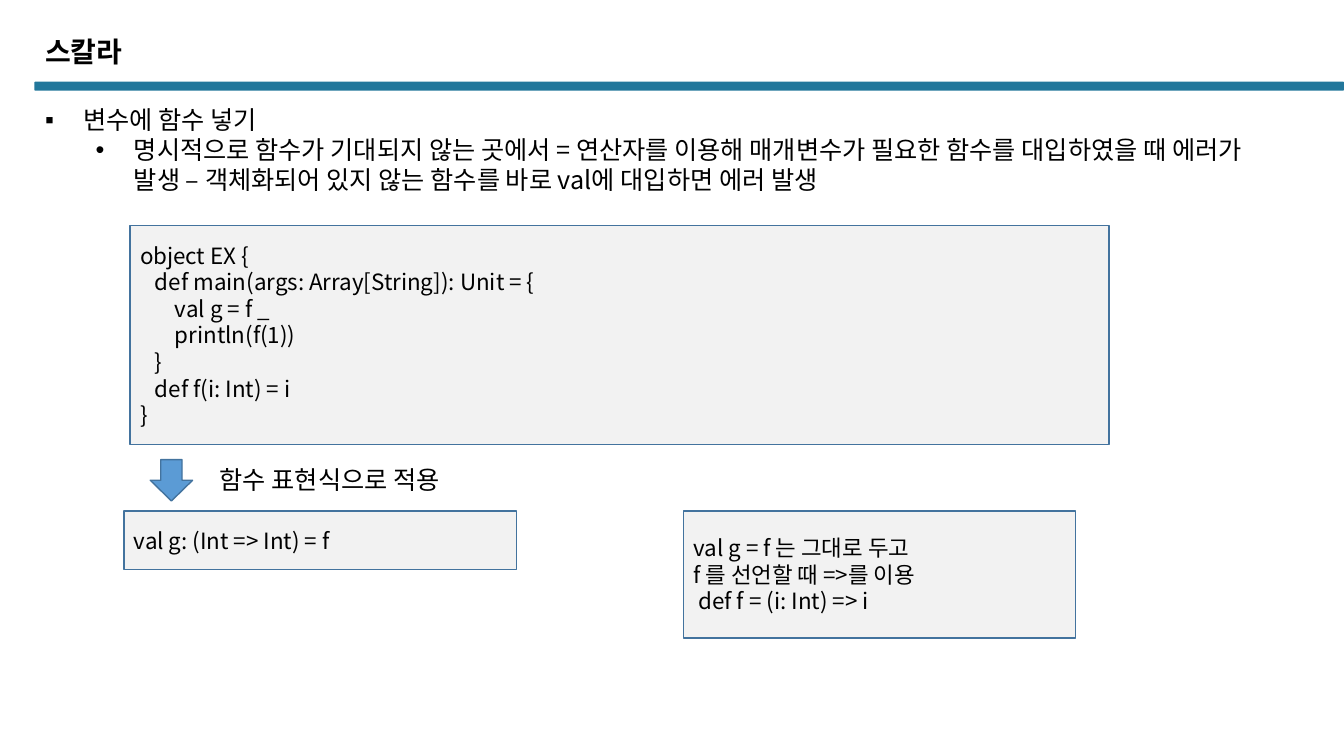
from lxml import etree
from pptx import Presentation
from pptx.dml.color import RGBColor
from pptx.enum.shapes import MSO_SHAPE
from pptx.enum.text import MSO_ANCHOR, PP_ALIGN
from pptx.oxml.ns import qn
from pptx.util import Inches, Pt

RECTANGLE = MSO_SHAPE.RECTANGLE
ROUNDED = MSO_SHAPE.ROUNDED_RECTANGLE
DOWN_ARROW = MSO_SHAPE.DOWN_ARROW
TOP, MIDDLE = MSO_ANCHOR.TOP, MSO_ANCHOR.MIDDLE
LEFT = PP_ALIGN.LEFT

BLACK = RGBColor(0x00, 0x00, 0x00)
TEAL = RGBColor(0x22, 0x77, 0x9B)
BLUE = RGBColor(0x5B, 0x9B, 0xD5)
OUTLINE = RGBColor(0x43, 0x73, 0x9E)
PALE_GRAY = RGBColor(0xF2, 0xF2, 0xF2)

FONT = "Noto Sans CJK KR"
LINE_RATIO = 1.19

BULLETS = [
    ("변수에 함수 넣기", 0, "▪", 0.38),
    ("명시적으로 함수가 기대되지 않는 곳에서 = 연산자를 이용해 매개변수가 필요한 함수를 "
     "대입하였을 때 에러가 발생 – 객체화되어 있지 않는 함수를 바로 val에 대입하면 에러 발생",
     1, "•", 0.88),
]
HANGING = 0.38

MAIN_CODE = [
    "object EX {",
    "   def main(args: Array[String]): Unit = {",
    "       val g = f _",
    "       println(f(1))",
    "   }",
    "   def f(i: Int) = i",
    "}",
]
TYPED_CODE = ["val g: (Int => Int) = f"]
LITERAL_CODE = [
    "val g = f 는 그대로 두고",
    "f 를 선언할 때 =>를 이용",
    " def f = (i: Int) => i",
]


def style_paragraph(paragraph, size, bold=False, spacing=1):
    paragraph.alignment = LEFT
    paragraph.line_spacing = Pt(round(size * LINE_RATIO * spacing, 1))
    paragraph.font.name = FONT
    paragraph.font.size = Pt(size)
    paragraph.font.bold = bold
    paragraph.font.color.rgb = BLACK
    for run in paragraph.runs:
        properties = run._r.get_or_add_rPr()
        etree.SubElement(properties, qn("a:ea")).set("typeface", FONT)


def write_lines(text_frame, lines, size, anchor=TOP, bold=False, spacing=1):
    text_frame.word_wrap = True
    text_frame.vertical_anchor = anchor
    for index, line in enumerate(lines):
        paragraph = text_frame.paragraphs[0] if index == 0 else text_frame.add_paragraph()
        paragraph.add_run().text = line
        style_paragraph(paragraph, size, bold, spacing)


def add_text(slide, box, lines, size, **options):
    shape = slide.shapes.add_textbox(*map(Inches, box))
    write_lines(shape.text_frame, lines, size, **options)


def add_filled_shape(slide, kind, box, fill, outline=None):
    shape = slide.shapes.add_shape(kind, *map(Inches, box))
    shape.shadow.inherit = False
    shape.fill.solid()
    shape.fill.fore_color.rgb = fill
    if outline is None:
        shape.line.fill.background()
    else:
        shape.line.color.rgb = outline
        shape.line.width = Pt(1)
    return shape


def add_header(slide, box, title):
    left, top, width, height = box
    bar = add_filled_shape(slide, ROUNDED, (left, top + 0.48, width, height - 0.48), TEAL)
    bar.adjustments[0] = 0.133
    add_text(slide, (left + 0.01, top, 7.9, 0.47), [title], 20, bold=True, spacing=0.9)


def add_bullets(slide, box):
    text_frame = slide.shapes.add_textbox(*map(Inches, box)).text_frame
    text_frame.word_wrap = True
    for index, (text, level, symbol, margin) in enumerate(BULLETS):
        paragraph = text_frame.paragraphs[0] if index == 0 else text_frame.add_paragraph()
        paragraph.add_run().text = text
        paragraph.level = level
        properties = paragraph._p.get_or_add_pPr()
        properties.set("marL", str(Inches(margin)))
        properties.set("indent", str(-Inches(HANGING)))
        etree.SubElement(properties, qn("a:buFont")).set("typeface", "Arial")
        etree.SubElement(properties, qn("a:buChar")).set("char", symbol)
        style_paragraph(paragraph, 18)


def add_code_box(slide, box, lines):
    shape = add_filled_shape(slide, RECTANGLE, box, PALE_GRAY, OUTLINE)
    write_lines(shape.text_frame, lines, 16, anchor=MIDDLE)


def add_step(slide, box, label):
    left, top, width, height = box
    add_filled_shape(slide, DOWN_ARROW, (left, top, 0.42, height), BLUE, OUTLINE)
    add_text(slide, (left + 0.59, top, width - 0.59, height), [label], 18)


def main():
    presentation = Presentation()
    presentation.slide_width = Inches(13.33)
    presentation.slide_height = Inches(7.5)
    slide = presentation.slides.add_slide(presentation.slide_layouts[6])

    add_header(slide, (0.34, 0.33, 12.99, 0.57), "스칼라")
    add_bullets(slide, (0.35, 0.99, 12.43, 1.62))
    add_code_box(slide, (1.29, 2.24, 9.71, 2.17), MAIN_CODE)
    add_step(slide, (1.49, 4.56, 5.49, 0.41), "함수 표현식으로 적용")
    add_code_box(slide, (1.23, 5.07, 3.89, 0.58), TYPED_CODE)
    add_code_box(slide, (6.78, 5.07, 3.89, 1.26), LITERAL_CODE)

    presentation.save("out.pptx")


if __name__ == "__main__":
    main()
